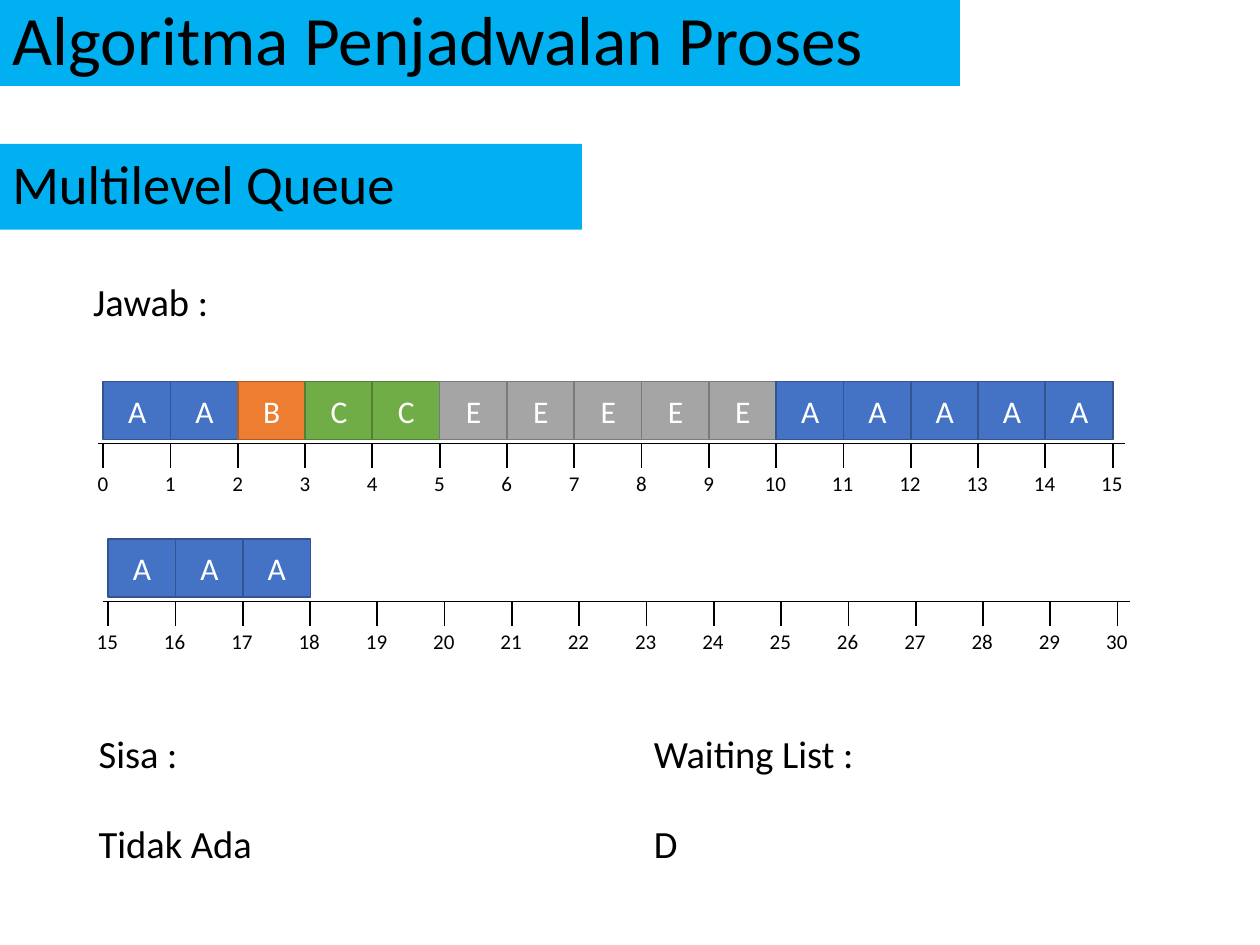
from lxml import etree
from pptx import Presentation
from pptx import util as u
from pptx.dml.color import RGBColor
from pptx.enum import shapes, text
from pptx.oxml import ns

BLACK = RGBColor(0x00, 0x00, 0x00)
WHITE = RGBColor(0xFF, 0xFF, 0xFF)
SKY = RGBColor(0x00, 0xB0, 0xF0)
# Fill and outline of each process
PROCESS_COLORS = {
    "A": (RGBColor(0x44, 0x72, 0xC4), RGBColor(0x32, 0x54, 0x91)),
    "B": (RGBColor(0xED, 0x7D, 0x31), RGBColor(0xAF, 0x5C, 0x24)),
    "C": (RGBColor(0x70, 0xAD, 0x47), RGBColor(0x53, 0x80, 0x35)),
    "E": (RGBColor(0xA5, 0xA5, 0xA5), RGBColor(0x7A, 0x7A, 0x7A)),
}
STEPS = 15
PITCH = 20.35 / STEPS


class SlideBuilder:
    """Holds the font and the current slide; all lengths are in centimetres."""

    def __init__(self, slide, font="Calibri"):
        self.s = slide
        self.font = font

    def set_text(self, sp, words, size, color=BLACK, align=text.PP_ALIGN.LEFT,
                 anchor=text.MSO_ANCHOR.MIDDLE, spacing=None):
        tf = sp.text_frame
        tf.text = words
        tf.word_wrap = True
        tf.auto_size = text.MSO_AUTO_SIZE.NONE
        tf.vertical_anchor = anchor
        p = tf.paragraphs[0]
        p.alignment = align
        p.line_spacing = spacing
        p.font.name = self.font
        p.font.size = u.Pt(size)
        p.font.color.rgb = color

    def title(self, words, width, height):
        sp = self.s.shapes.title
        sp.left, sp.top = u.Cm(0), u.Cm(0)
        sp.width, sp.height = u.Cm(width), u.Cm(height)
        sp.fill.solid()
        sp.fill.fore_color.rgb = SKY
        self.set_text(sp, words, 39.6, spacing=0.9)

    def rect(self, x, y, w, h, fill, outline=None):
        sp = self.s.shapes.add_shape(
            shapes.MSO_SHAPE.RECTANGLE, u.Cm(x), u.Cm(y), u.Cm(w), u.Cm(h))
        sp.shadow.inherit = False
        sp.fill.solid()
        sp.fill.fore_color.rgb = fill
        if outline is None:
            sp.line.fill.background()
        else:
            sp.line.color.rgb = outline
            sp.line.width = u.Pt(1)
        return sp

    def subtitle(self, words, y, w, h):
        self.set_text(self.rect(0, y, w, h, SKY), words, 31.2, spacing=0.9)

    def label(self, words, x, y, w, h, size, align=text.PP_ALIGN.LEFT):
        sp = self.s.shapes.add_textbox(u.Cm(x), u.Cm(y), u.Cm(w), u.Cm(h))
        self.set_text(sp, words, size, align=align, anchor=text.MSO_ANCHOR.TOP)

    def line(self, x1, y1, x2, y2, width):
        c = self.s.shapes.add_connector(
            shapes.MSO_CONNECTOR.STRAIGHT, u.Cm(x1), u.Cm(y1), u.Cm(x2), u.Cm(y2))
        c.line.color.rgb = BLACK
        c.line.width = u.Pt(width)
        etree.SubElement(c._element.spPr, ns.qn("a:effectLst"))

    def timeline(self, x, y, first, processes):
        """Draw an axis with numbered ticks and one box per time unit."""
        self.line(x - 0.1, y, x + 20.6, y, 0.5)
        for i in range(STEPS + 1):
            tick = x + i * PITCH
            self.line(tick, y, tick, y + 0.5, 1)
            number = str(first + i)
            inset, width = (0.36, 0.84) if len(number) == 1 else (0.48, 1.02)
            self.label(number, tick - inset, y + 0.42, width, 0.76, 12)
        for i, process in enumerate(processes):
            sp = self.rect(x + i * PITCH, y - 1.25, 1.37, 1.17,
                           *PROCESS_COLORS[process])
            self.set_text(sp, process, 18, WHITE, text.PP_ALIGN.CENTER)


def main():
    prs = Presentation()
    prs.slide_width, prs.slide_height = u.Cm(25.4), u.Cm(19.05)
    b = SlideBuilder(prs.slides.add_slide(prs.slide_layouts[5]))

    b.title("Algoritma Penjadwalan Proses", 19.35, 1.73)
    b.subtitle("Multilevel Queue", 2.9, 11.73, 1.73)
    b.timeline(2.08, 8.94, 0, "AABCCEEEEEAAAAA")
    b.timeline(2.18, 12.12, 15, "AAA")

    for words, x, y in (("Jawab :", 1.63, 5.49),
                        ("Sisa :", 1.74, 14.6), ("Waiting List :", 12.93, 14.6),
                        ("Tidak Ada", 1.74, 16.41), ("D", 12.93, 16.41)):
        b.label(words, x, y, 5.03, 1.19, 22, text.PP_ALIGN.JUSTIFY)

    prs.save("out.pptx")


if __name__ == "__main__":
    main()
